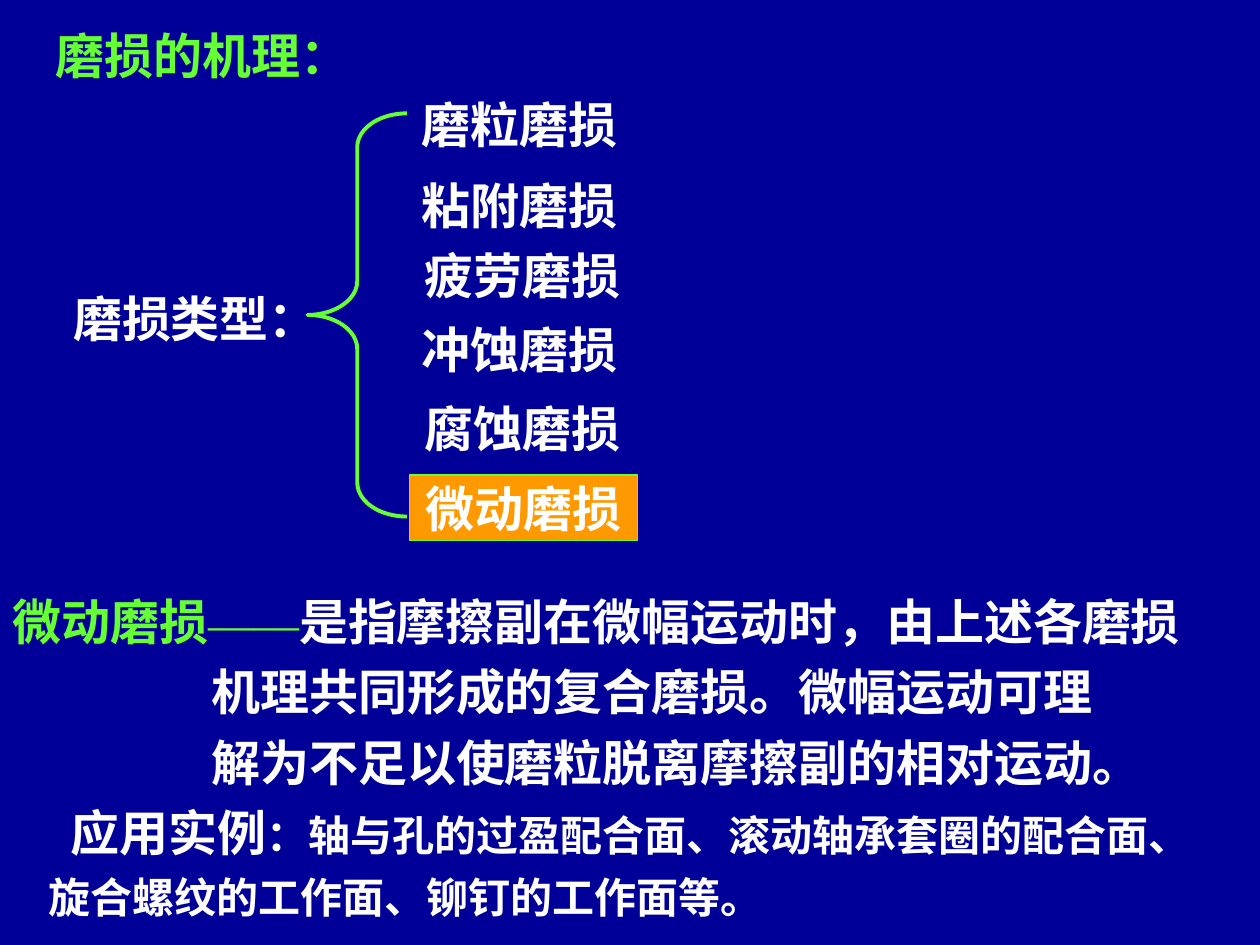
import pptx
import pptx.util
import pptx.dml.color
import pptx.enum.shapes
import pptx.enum.text
import pptx.oxml
import pptx.oxml.ns

Inches = pptx.util.Inches
Pt = pptx.util.Pt
ALIGN = pptx.enum.text.PP_ALIGN
ANCHOR = pptx.enum.text.MSO_ANCHOR
SHAPE = pptx.enum.shapes.MSO_SHAPE

THEME = {
    "background": "000099", "accent": "66FF33", "text": "FFFFFF", "highlight": "FF9900",
    "cjk": "Noto Sans CJK SC", "latin": "Times New Roman",
    "large": 28, "dash": 26, "small": 24,
}

TITLE = "磨损的机理："
TYPES_LABEL = "磨损类型："
WEAR_TYPES = [
    ("磨粒磨损", 3.25, 0.7),
    ("粘附磨损", 3.25, 1.34),
    ("疲劳磨损", 3.27, 1.9),
    ("冲蚀磨损", 3.25, 2.49),
    ("腐蚀磨损", 3.27, 3.11),
]
CURRENT_TYPE = "微动磨损"
DEFINITION = [
    "是指摩擦副在微幅运动时，由上述各磨损",
    "机理共同形成的复合磨损。微幅运动可理",
    "解为不足以使磨粒脱离摩擦副的相对运动。",
]
EXAMPLE_LABEL = "应用实例"
EXAMPLES = "：轴与孔的过盈配合面、滚动轴承套圈的配合面、旋合螺纹的工作面、铆钉的工作面等。"


def color(name):
    return pptx.dml.color.RGBColor.from_string(THEME[name])


def add_run(p, text, fill="text", size="large", latin="cjk", east_asian="cjk", bold=True):
    r = p.add_run()
    r.text = text
    r.font.size = Pt(THEME[size])
    r.font.bold = bold
    r.font.color.rgb = color(fill)
    r.font.name = THEME[latin]
    ea = pptx.oxml.parse_xml(
        f'<a:ea {pptx.oxml.ns.nsdecls("a")} typeface="{THEME[east_asian]}"/>')
    r.font._element.append(ea)


def setup_frame(sp, margins, wrap=False):
    tf = sp.text_frame
    tf.word_wrap = wrap
    tf.auto_size = pptx.enum.text.MSO_AUTO_SIZE.NONE
    tf.vertical_anchor = ANCHOR.TOP
    tf.margin_left, tf.margin_top, tf.margin_right, tf.margin_bottom = map(Inches, margins)
    return tf


def add_text_box(slide, box, margins, wrap=False):
    return setup_frame(slide.shapes.add_textbox(*map(Inches, box)), margins, wrap)


def format_paragraph(p, spacing, left=0, first=0):
    p.alignment = ALIGN.LEFT
    p.line_spacing = spacing
    p.space_before = Pt(0)
    pPr = p._p.get_or_add_pPr()
    pPr.set("marL", str(Inches(left)))
    pPr.set("indent", str(Inches(first)))


def add_heading(tf, text, fill):
    p = tf.paragraphs[0]
    format_paragraph(p, 1.3)
    add_run(p, text, fill)


def add_types(slide):
    for text, left, top in WEAR_TYPES:
        tf = add_text_box(slide, (left, top, 1.84, 0.57), (0.1, 0.05, 0.1, 0.05))
        add_run(tf.paragraphs[0], text)

    sp = slide.shapes.add_shape(SHAPE.RECTANGLE, *map(Inches, (3.25, 3.77, 1.81, 0.52)))
    sp.shadow.inherit = False
    sp.fill.solid()
    sp.fill.fore_color.rgb = color("highlight")
    sp.line.color.rgb = color("accent")
    sp.line.width = Pt(0.75)
    tf = setup_frame(sp, (0, 0, 0, 0))
    tf.vertical_anchor = ANCHOR.MIDDLE
    tf.paragraphs[0].alignment = ALIGN.CENTER
    add_run(tf.paragraphs[0], CURRENT_TYPE)

    brace = slide.shapes.add_shape(SHAPE.LEFT_BRACE, *map(Inches, (2.44, 0.9, 0.79, 3.2)))
    brace.shadow.inherit = False
    brace.adjustments[0] = 0.34
    brace.fill.background()
    brace.line.color.rgb = color("accent")
    brace.line.width = Pt(2.25)


def add_definition(slide):
    tf = add_text_box(slide, (0, 4.6, 10, 1.68), (0.1, 0, 0.1, 0), wrap=True)
    for i, line in enumerate(DEFINITION):
        p = tf.paragraphs[0] if i == 0 else tf.add_paragraph()
        format_paragraph(p, 1.2, left=1.58 if i else 0)
        if i == 0:
            add_run(p, CURRENT_TYPE, "accent")
            add_run(p, "——", "accent", "dash", "latin", "latin", bold=False)
        add_run(p, line)


def add_examples(slide):
    tf = add_text_box(slide, (0.29, 6.23, 9.38, 1.14), (0.1, 0.05, 0.1, 0.05), wrap=True)
    p = tf.paragraphs[0]
    format_paragraph(p, 1.2, first=0.17)
    add_run(p, EXAMPLE_LABEL)
    add_run(p, EXAMPLES, size="small", latin="latin")


def main():
    prs = pptx.Presentation()
    prs.slide_width, prs.slide_height = Inches(10), Inches(7.5)
    slide = prs.slides.add_slide(prs.slide_layouts[5])
    slide.background.fill.solid()
    slide.background.fill.fore_color.rgb = color("background")

    title = slide.shapes.title
    title.left, title.top, title.width, title.height = map(Inches, (0.35, 0.06, 2.6, 0.61))
    add_heading(setup_frame(title, (0.09, 0, 0, 0)), TITLE, "accent")

    add_types(slide)
    label = add_text_box(slide, (0.49, 2.15, 2.21, 0.61), (0.09, 0, 0, 0))
    add_heading(label, TYPES_LABEL, "text")
    add_definition(slide)
    add_examples(slide)
    prs.save("out.pptx")


if __name__ == "__main__":
    main()
